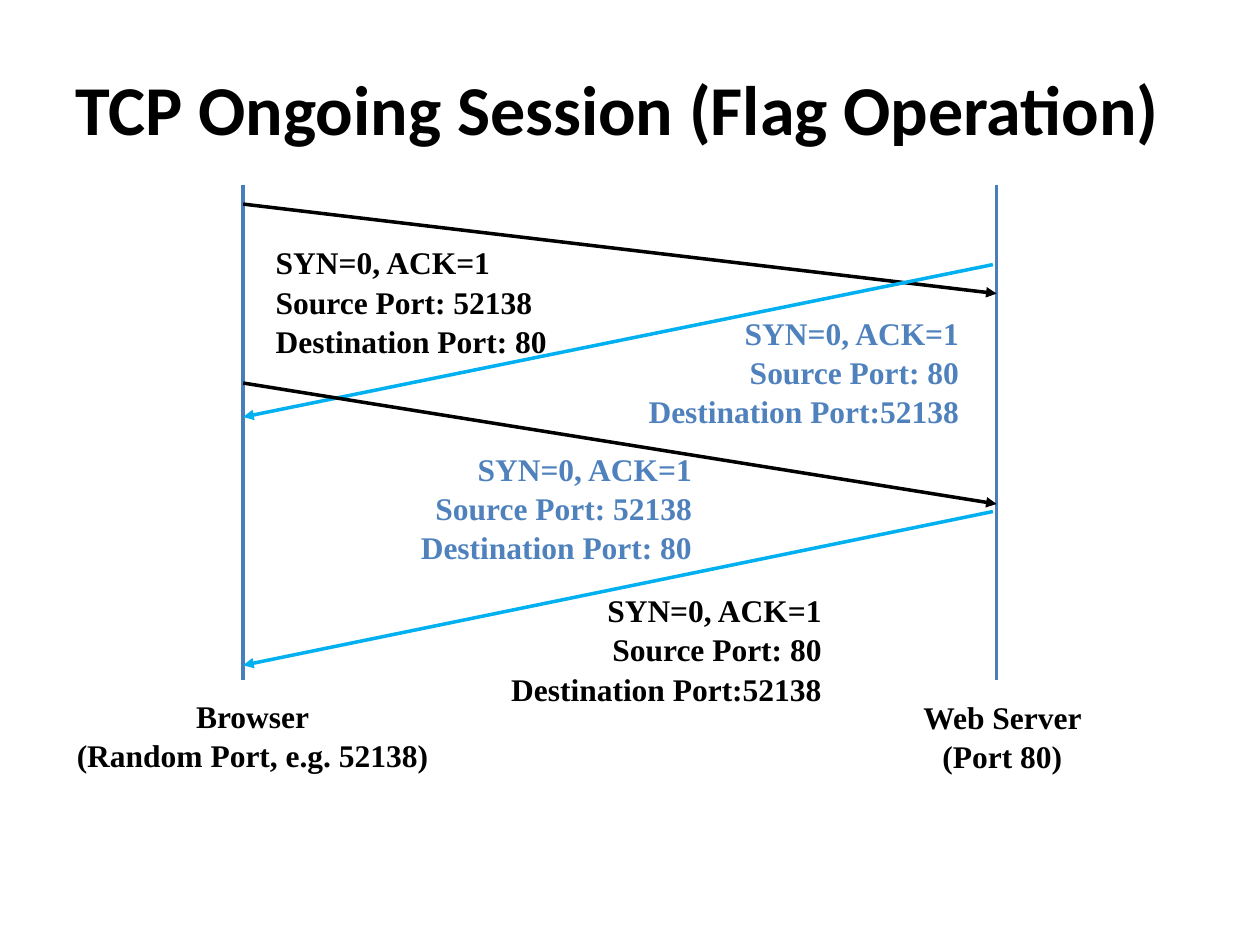
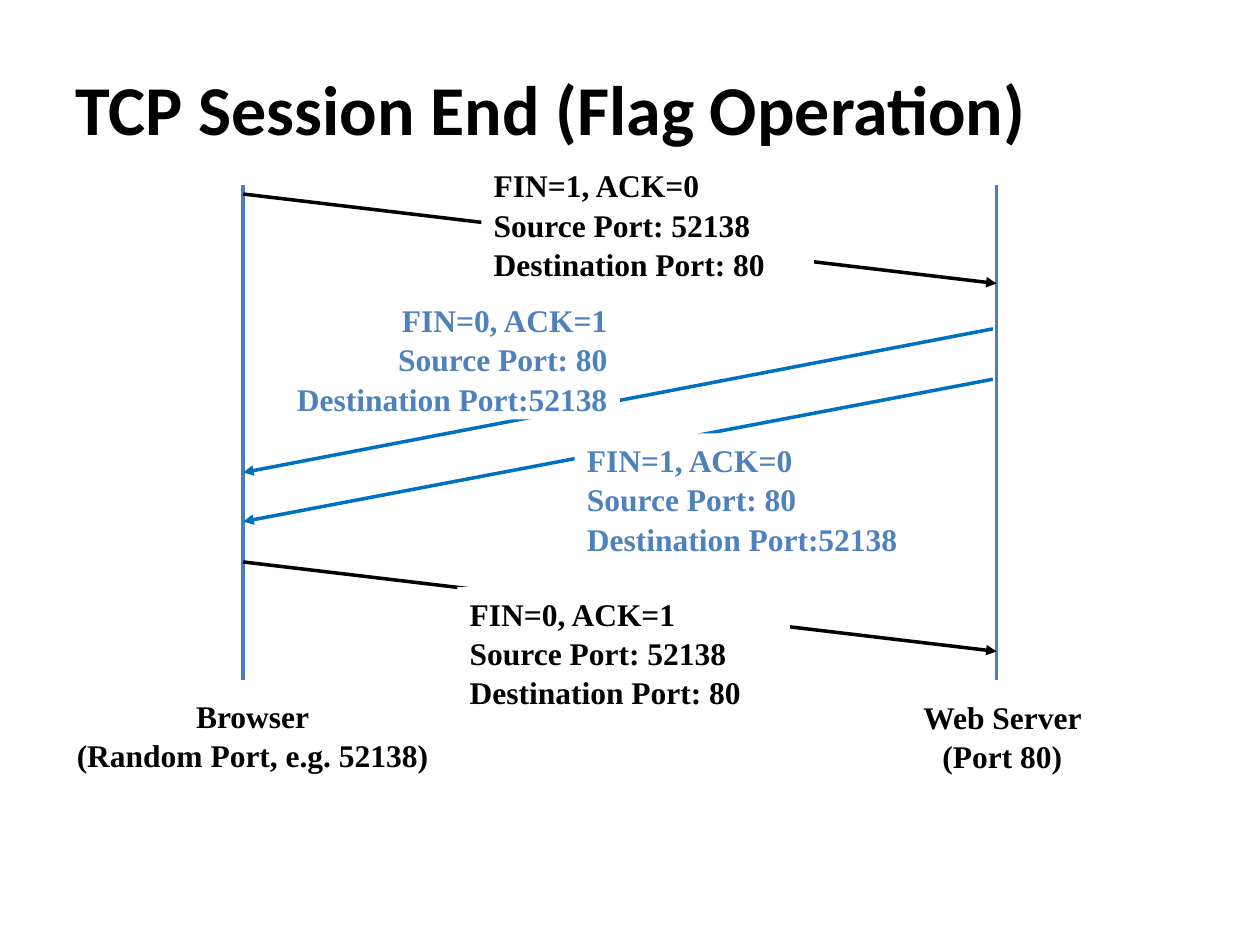
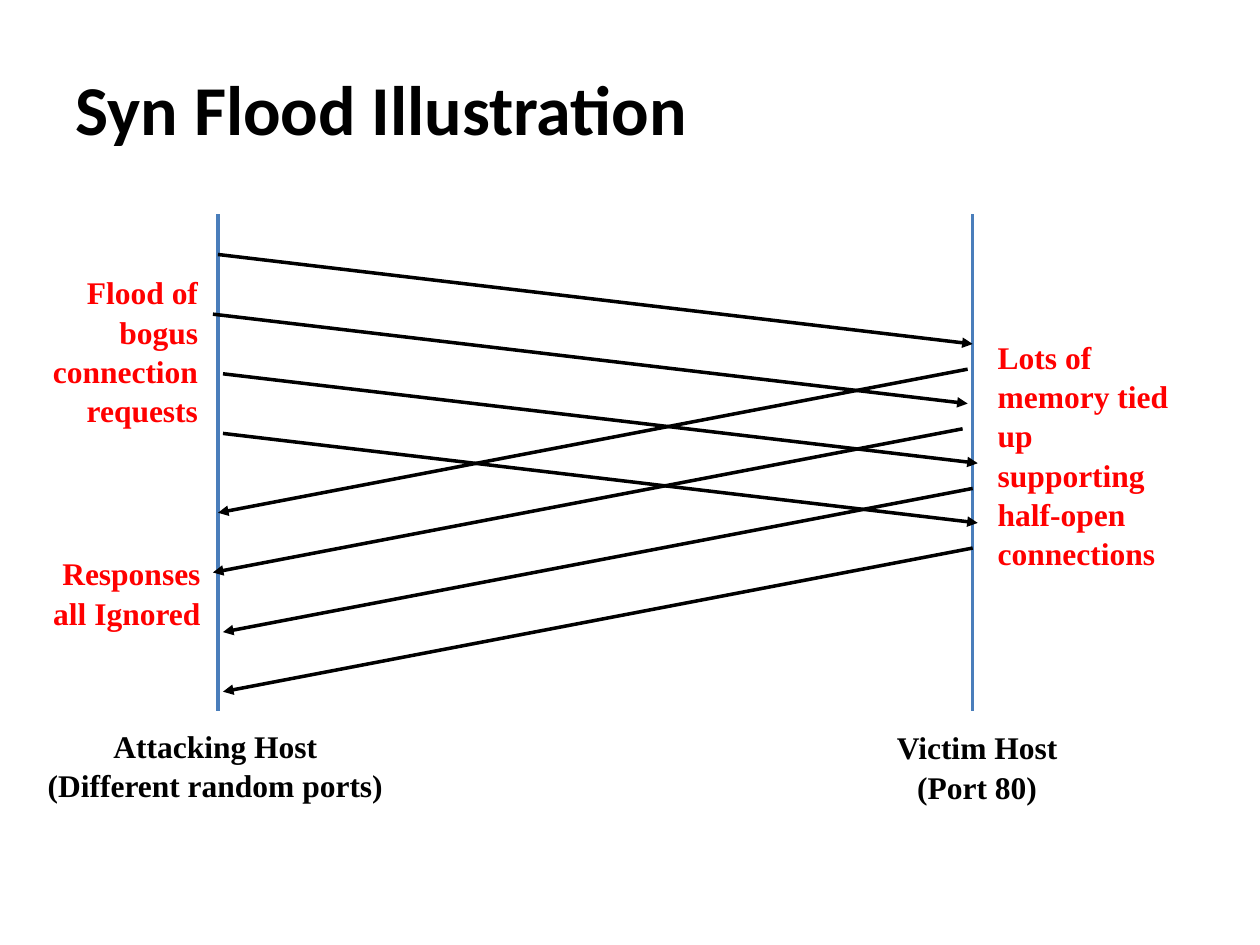
from dataclasses import dataclass

from pptx import Presentation
from pptx.dml.color import RGBColor
from pptx.enum.shapes import MSO_CONNECTOR
from pptx.enum.text import MSO_ANCHOR, MSO_AUTO_SIZE, PP_ALIGN
from pptx.oxml.ns import qn
from pptx.util import Inches, Pt
from lxml import etree

STRAIGHT = MSO_CONNECTOR.STRAIGHT
MIDDLE = MSO_ANCHOR.MIDDLE
FIT_SHAPE = MSO_AUTO_SIZE.SHAPE_TO_FIT_TEXT
LEFT, CENTER, RIGHT = PP_ALIGN.LEFT, PP_ALIGN.CENTER, PP_ALIGN.RIGHT


@dataclass(frozen=True)
class Theme:
    black: str = "000000"
    white: str = "FFFFFF"
    red: str = "FF0000"
    lifeline: str = "4A7EBB"
    reply_text: str = "4F81BD"
    sky: str = "00B0F0"
    blue: str = "0070C0"
    title_font: str = "Calibri"
    body_font: str = "Times New Roman"
    title_size: int = 40
    body_size: int = 18
    line_width: int = 2
    line_spacing: float = 1.04


theme = Theme()


def add_line(page, start, end, color, arrow=True):
    line = page.shapes.add_connector(STRAIGHT, *map(Inches, start + end))
    line.line.color.rgb = RGBColor.from_string(color)
    line.line.width = Pt(theme.line_width)
    if arrow:
        etree.SubElement(line.line._get_or_add_ln(), qn("a:tailEnd"), type="triangle")
    etree.SubElement(line._element.spPr, qn("a:effectLst"))


def add_label(page, place, lines, align, color, filled=False):
    box = page.shapes.add_textbox(*map(Inches, place))
    if filled:
        box.fill.solid()
        box.fill.fore_color.rgb = RGBColor.from_string(theme.white)
    frame = box.text_frame
    frame.word_wrap = True
    frame.auto_size = FIT_SHAPE
    frame.text = "\n".join(lines)
    for para in frame.paragraphs:
        para.alignment = align
        para.line_spacing = theme.line_spacing
        para.font.name = theme.body_font
        para.font.size = Pt(theme.body_size)
        para.font.bold = True
        para.font.color.rgb = RGBColor.from_string(color)


TO_SERVER = ["Source Port: 52138", "Destination Port: 80"]
TO_BROWSER = ["Source Port: 80", "Destination Port:52138"]
LABEL_HEIGHT = 1.0
BROWSER_X, SERVER_X, REPLY_X = 1.93, 7.91, 7.88

session_hosts = [
    ((0.35, 5.47, 3.31, 0.7), ["Browser", "(Random Port, e.g. 52138)"]),
    ((6.97, 5.48, 1.97, 0.7), ["Web Server (Port 80)"]),
]
flood_hosts = [
    ((0.23, 5.71, 2.96, 0.7), ["Attacking Host", "(Different random ports)"]),
    ((6.77, 5.72, 1.97, 0.7), ["Victim Host (Port 80)"]),
]

ongoing_arrows = [
    ((BROWSER_X, 1.62), (SERVER_X, 2.33), theme.black),
    ((REPLY_X, 2.1), (BROWSER_X, 3.31), theme.sky),
    ((BROWSER_X, 3.04), (SERVER_X, 4.0), theme.black),
    ((REPLY_X, 4.06), (BROWSER_X, 5.28), theme.sky),
]
ongoing_labels = [
    ((2.09, 1.87, 2.64, LABEL_HEIGHT), ["SYN=0, ACK=1", *TO_SERVER], LEFT, theme.black),
    ((4.92, 2.43, 2.79, LABEL_HEIGHT), ["SYN=0, ACK=1", *TO_BROWSER], RIGHT, theme.reply_text),
    ((2.8, 3.51, 2.79, LABEL_HEIGHT), ["SYN=0, ACK=1", *TO_SERVER], RIGHT, theme.reply_text),
    ((3.82, 4.63, 2.8, LABEL_HEIGHT), ["SYN=0, ACK=1", *TO_BROWSER], RIGHT, theme.black),
]

end_arrows = [
    ((BROWSER_X, 1.54), (SERVER_X, 2.25), theme.black),
    ((REPLY_X, 2.61), (BROWSER_X, 3.75), theme.blue),
    ((REPLY_X, 3.01), (BROWSER_X, 4.14), theme.blue),
    ((BROWSER_X, 4.46), (SERVER_X, 5.17), theme.black),
]
end_labels = [
    ((3.82, 1.26, 2.64, LABEL_HEIGHT), ["FIN=1, ACK=0", *TO_SERVER], LEFT, theme.black, True),
    ((2.13, 2.33, 2.79, LABEL_HEIGHT), ["FIN=0, ACK=1", *TO_BROWSER], RIGHT, theme.reply_text, True),
    ((4.56, 3.44, 2.79, LABEL_HEIGHT), ["FIN=1, ACK=0", *TO_BROWSER], LEFT, theme.reply_text, True),
    ((3.63, 4.66, 2.64, LABEL_HEIGHT), ["FIN=0, ACK=1", *TO_SERVER], LEFT, theme.black, True),
]

ATTACKER_X, VICTIM_X = 1.73, 7.72
flood_arrows = []
for index, shift in enumerate([0, -0.04, 0.04, 0.04]):
    drop = index * 1.42 / 3
    near, far = ATTACKER_X + shift, VICTIM_X + shift
    flood_arrows += [
        ((near, 2.02 + drop), (far, 2.73 + drop), theme.black),
        ((far - 0.04, 2.93 + drop), (near, 4.07 + drop), theme.black),
    ]
flood_labels = [
    ((0.29, 2.11, 1.38, 1.3), ["Flood of bogus connection requests"], RIGHT, theme.red),
    ((0.29, 4.34, 1.4, 0.7), ["Responses all Ignored"], RIGHT, theme.red),
    ((7.82, 2.62, 1.59, 1.9), ["Lots of memory tied up supporting half-open connections"], LEFT, theme.red),
]

session_lifelines = (BROWSER_X, SERVER_X), 1.47, 5.4
flood_lifelines = (ATTACKER_X, VICTIM_X), 1.7, 5.64

diagrams = [
    ("TCP Ongoing Session (Flag Operation)", session_lifelines, session_hosts, ongoing_arrows, ongoing_labels),
    ("TCP Session End (Flag Operation)", session_lifelines, session_hosts, end_arrows, end_labels),
    ("Syn Flood Illustration", flood_lifelines, flood_hosts, flood_arrows, flood_labels),
]

deck = Presentation()
deck.slide_width, deck.slide_height = Inches(10), Inches(7.5)
title_only = deck.slide_layouts[5]

for heading, (lifeline_xs, top, bottom), hosts, arrows, labels in diagrams:
    page = deck.slides.add_slide(title_only)
    title = page.shapes.title
    title.left, title.top = Inches(0.5), Inches(0.31)
    title.width, title.height = Inches(9), Inches(1.09)
    title.text_frame.vertical_anchor = MIDDLE
    title.text_frame.text = heading
    para = title.text_frame.paragraphs[0]
    para.alignment = LEFT
    para.font.name = theme.title_font
    para.font.size = Pt(theme.title_size)
    para.font.bold = True
    para.font.color.rgb = RGBColor.from_string(theme.black)

    for x in lifeline_xs:
        add_line(page, (x, top), (x, bottom), theme.lifeline, arrow=False)
    for arrow in arrows:
        add_line(page, *arrow)
    for place, lines in hosts:
        add_label(page, place, lines, CENTER, theme.black)
    for label in labels:
        add_label(page, *label)

deck.save("out.pptx")
